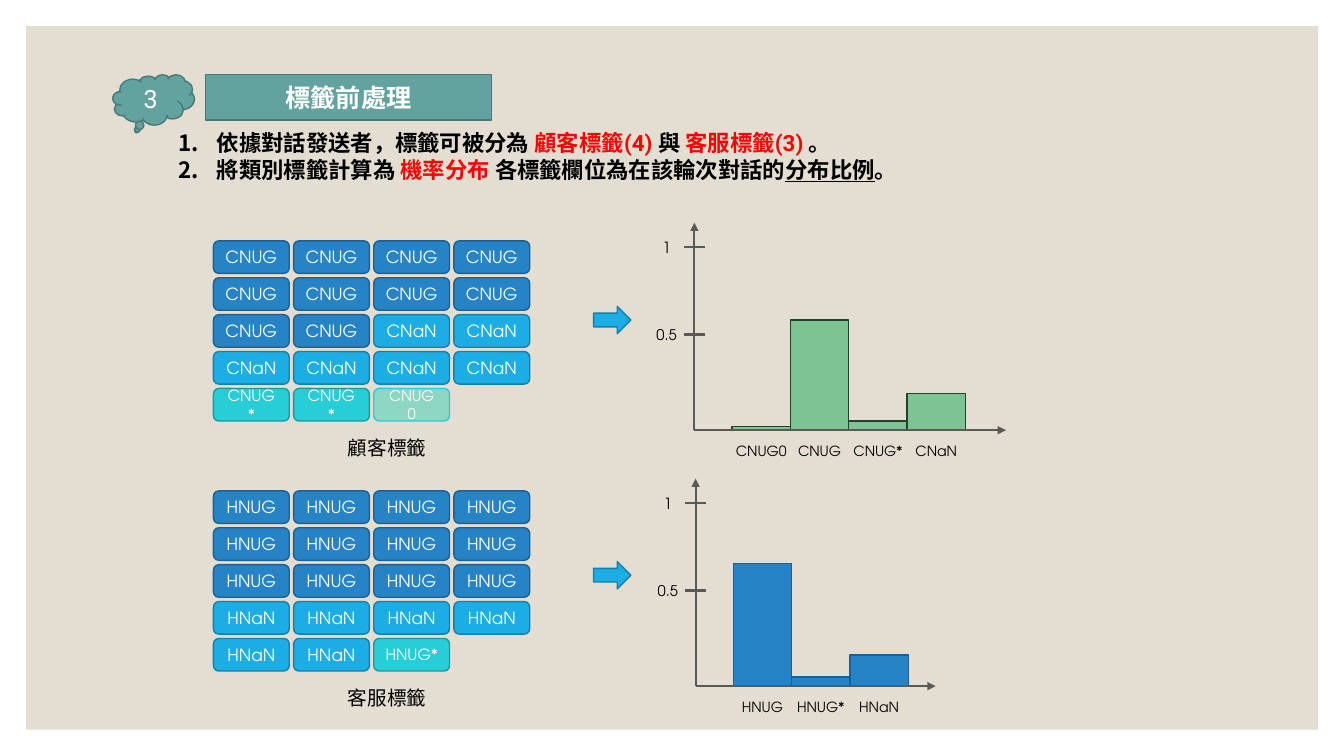
from collections import namedtuple
from dataclasses import dataclass

from lxml import etree
from pptx import Presentation
from pptx import util as u
from pptx.dml import color
from pptx.enum import shapes, text
from pptx.oxml import ns

Box = namedtuple("Box", "left top width height")


@dataclass(frozen=True)
class Theme:
    """Colours, fonts and type sizes of the slide."""
    panel: str = "E3DED1"
    heading: tuple = ("62A39F", "497976")
    blue: tuple = ("2683C6", "1C6192")
    sky: tuple = ("1CADE4", "1580A9")
    aqua: tuple = ("27CED7", "1D989F")
    mint: tuple = ("8DD6C1", "27CED7")
    green: tuple = ("7EC492", "1F442A")
    axis: str = "595959"
    black: str = "000000"
    white: str = "FFFFFF"
    red: str = "FF0000"
    latin: str = "Roboto"
    label: str = "TeX Gyre Adventor"
    chinese: str = "Noto Sans CJK SC"
    title_size: float = 18
    body_size: float = 16
    caption_size: float = 14
    token_size: float = 12
    small_size: float = 11
    tiny_size: float = 10.5
    category_size: float = 10


THEME = Theme()
TOKENS = {
    "CNUG": (THEME.blue, THEME.token_size),
    "CNaN": (THEME.sky, THEME.token_size),
    "CNUG*": (THEME.aqua, THEME.small_size),
    "CNUG0": (THEME.mint, THEME.tiny_size),
    "HNUG": (THEME.blue, THEME.token_size),
    "HNaN": (THEME.sky, THEME.token_size),
    "HNUG*": (THEME.aqua, THEME.small_size),
}
CUSTOMER_TOKENS = ["CNUG"] * 10 + ["CNaN"] * 6 + ["CNUG*"] * 2 + ["CNUG0"]
AGENT_TOKENS = ["HNUG"] * 12 + ["HNaN"] * 6 + ["HNUG*"]
CUSTOMER_SHARES = {"CNUG0": 0.02, "CNUG": 0.6, "CNUG*": 0.05, "CNaN": 0.2}
AGENT_SHARES = {"HNUG": 0.67, "HNUG*": 0.05, "HNaN": 0.17}
RULES = [
    [("依據對話發送者，標籤可被分為 ", ""), ("顧客標籤(4)", "red"), (" 與 ", ""),
     ("客服標籤(3)", "red"), (" 。", "")],
    [("將類別標籤計算為 ", ""), ("機率分布 ", "red"), ("各標籤欄位為在該輪次對話的", ""),
     ("分布比例", "underline"), ("。", "")],
]


def lengths(box):
    """Turn a box in centimetres into slide lengths."""
    return [u.Cm(value) for value in box]


def style_run(span, size, ink, font, bold=False):
    """Set size, colour, weight and both fonts of a run."""
    span.font.size, span.font.bold, span.font.name = u.Pt(size), bold, font
    span.font.color.rgb = color.RGBColor.from_string(ink)
    latin = span.font._element.find(ns.qn("a:latin"))
    east = etree.Element(ns.qn("a:ea"), typeface=THEME.chinese)
    latin.addnext(east)


def write(shape, words, size, ink, font, bold=False):
    """Put one centred line of words in a shape."""
    frame = shape.text_frame
    frame.text, frame.word_wrap = words, True
    frame.vertical_anchor = text.MSO_ANCHOR.MIDDLE
    para = frame.paragraphs[0]
    para.alignment = text.PP_ALIGN.CENTER
    style_run(para.runs[0], size, ink, font, bold)


def paint(shape, colours):
    """Give a shape its fill and one-point outline."""
    fill, line = colours
    shape.fill.solid()
    shape.fill.fore_color.rgb = color.RGBColor.from_string(fill)
    shape.line.color.rgb = color.RGBColor.from_string(line)
    shape.line.width = u.Pt(1)


def add_block(page, kind, box, colours):
    """Add a painted preset shape without shadow."""
    shape = page.shapes.add_shape(kind, *lengths(box))
    shape.shadow.inherit = False
    paint(shape, colours)
    return shape


def add_label(page, box, words, size, font):
    """Add centred black words without margins."""
    label = page.shapes.add_textbox(*lengths(box))
    frame = label.text_frame
    frame.margin_left = frame.margin_right = frame.margin_top = frame.margin_bottom = 0
    write(label, words, size, THEME.black, font)


def add_line(page, start, end, arrow=False):
    """Add an axis line, with an arrowhead if asked."""
    line = page.shapes.add_connector(shapes.MSO_CONNECTOR.STRAIGHT, *lengths(start + end))
    line.line.color.rgb = color.RGBColor.from_string(THEME.axis)
    line.line.width = u.Pt(1.5)
    if arrow:
        etree.SubElement(line.line._get_or_add_ln(), ns.qn("a:tailEnd"), type="triangle")
    etree.SubElement(line._element.spPr, ns.qn("a:effectLst"))


def add_panel(page, box):
    """Lay the background panel behind everything."""
    panel = add_block(page, shapes.MSO_SHAPE.RECTANGLE, box, (THEME.panel, THEME.panel))
    panel.line.fill.background()
    page.shapes._spTree.insert(2, panel._element)


def add_heading(page, box, number, words):
    """Place the numbered cloud and the rounded title."""
    cloud = add_block(page, shapes.MSO_SHAPE.CLOUD_CALLOUT,
                      Box(box.left, box.top, 2.06, 1.27), THEME.heading)
    write(cloud, number, THEME.title_size, THEME.white, THEME.latin)
    title = page.shapes.title
    title.left, title.top, title.width, title.height = lengths(
        Box(box.left + 2.34, box.top, box.width - 2.34, box.height))
    outline = etree.Element(ns.qn("a:prstGeom"), prst="roundRect")
    etree.SubElement(outline, ns.qn("a:avLst"))
    title._element.spPr.find(ns.qn("a:xfrm")).addnext(outline)
    paint(title, THEME.heading)
    title.text_frame.auto_size = text.MSO_AUTO_SIZE.NONE
    write(title, words, THEME.title_size, THEME.white, THEME.chinese, True)


def add_rules(page, box, rules):
    """Fill the body placeholder with the numbered list."""
    body = page.placeholders[1]
    body.left, body.top, body.width, body.height = lengths(box)
    frame = body.text_frame
    frame.auto_size, frame.word_wrap = text.MSO_AUTO_SIZE.NONE, True
    for index, parts in enumerate(rules):
        para = frame.add_paragraph() if index else frame.paragraphs[0]
        para.space_before = u.Pt(0)
        props = para._element.get_or_add_pPr()
        props.set("marL", str(u.Cm(0.97)))
        props.set("indent", str(-u.Cm(0.97)))
        etree.SubElement(props, ns.qn("a:buFont"), typeface=THEME.latin)
        etree.SubElement(props, ns.qn("a:buAutoNum"), type="arabicPeriod")
        for words, mark in parts:
            span = para.add_run()
            span.text = words
            ink = THEME.red if mark == "red" else THEME.black
            style_run(span, THEME.body_size, ink, THEME.latin, True)
            span.font.underline = mark == "underline"


def add_tokens(page, box, tokens, caption):
    """Lay tokens out four to a row above their caption."""
    for index, token in enumerate(tokens):
        row, column = divmod(index, 4)
        cell = Box(box.left + column * 2.02, box.top + row * 0.93, 1.91, 0.82)
        colours, size = TOKENS[token]
        block = add_block(page, shapes.MSO_SHAPE.ROUNDED_RECTANGLE, cell, colours)
        write(block, token, size, THEME.white, THEME.label)
    add_label(page, Box(box.left + 3.13, box.top + box.height, 2.5, 0.86),
              caption, THEME.caption_size, THEME.chinese)


def add_distribution(page, box, shares, colours):
    """Draw the bar sketch on axes that start at the box's lower left."""
    base, bar_width, unit = box.top + box.height, 1.47, 4.62
    add_line(page, (box.left, base), (box.left, box.top), True)
    for words, height, size in (("1", unit, THEME.small_size), ("0.5", 2.41, THEME.tiny_size)):
        level = base - height
        add_line(page, (box.left - 0.27, level), (box.left + 0.27, level))
        add_label(page, Box(box.left - 1.2, level - 0.36, 1, 0.74), words, size, THEME.label)
    for index, (name, share) in enumerate(shares.items()):
        left, height = box.left + 0.95 + index * bar_width, share * unit
        add_block(page, shapes.MSO_SHAPE.RECTANGLE,
                  Box(left, base - height, bar_width, height), colours)
        add_label(page, Box(left, base + 0.18, bar_width, 0.7),
                  name, THEME.category_size, THEME.label)
    add_line(page, (box.left, base), (box.left + box.width, base), True)


def main():
    """Build the slide and save it."""
    deck = Presentation()
    deck.slide_width, deck.slide_height = u.Cm(33.87), u.Cm(19.05)
    page = deck.slides.add_slide(deck.slide_layouts[1])
    add_panel(page, Box(0.66, 0.66, 32.56, 17.73))
    add_heading(page, Box(2.84, 1.88, 9.55, 1.14), "3", "標籤前處理")
    add_rules(page, Box(4.24, 3.12, 19.33, 1.63), RULES)
    add_tokens(page, Box(5.38, 6.07, 7.97, 4.78), CUSTOMER_TOKENS, "顧客標籤")
    add_tokens(page, Box(5.38, 12.37, 7.97, 4.78), AGENT_TOKENS, "客服標籤")
    add_distribution(page, Box(17.5, 5.61, 7.85, 5.23), CUSTOMER_SHARES, THEME.green)
    add_distribution(page, Box(17.53, 12.06, 6.05, 5.23), AGENT_SHARES, THEME.blue)
    for top in (7.72, 14.15):
        add_block(page, shapes.MSO_SHAPE.RIGHT_ARROW, Box(14.96, top, 0.94, 0.69), THEME.sky)
    deck.save("out.pptx")


if __name__ == "__main__":
    main()
